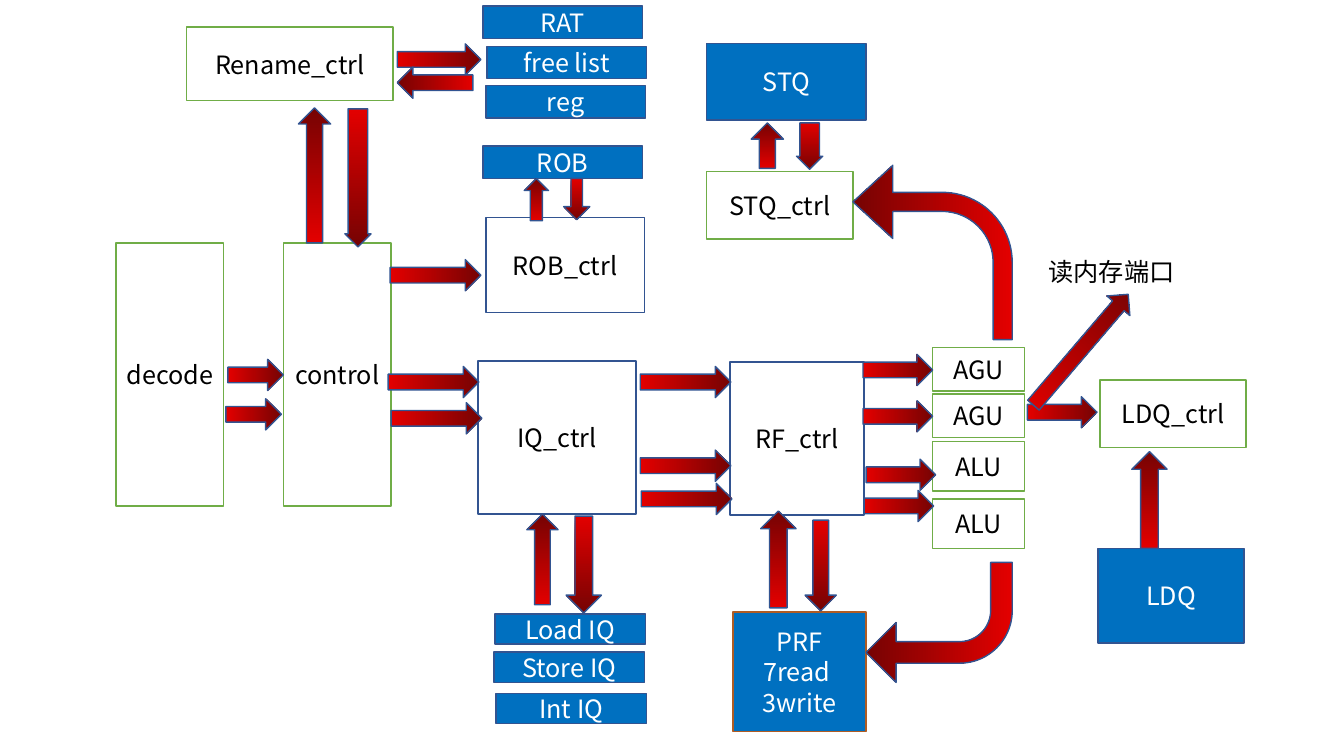
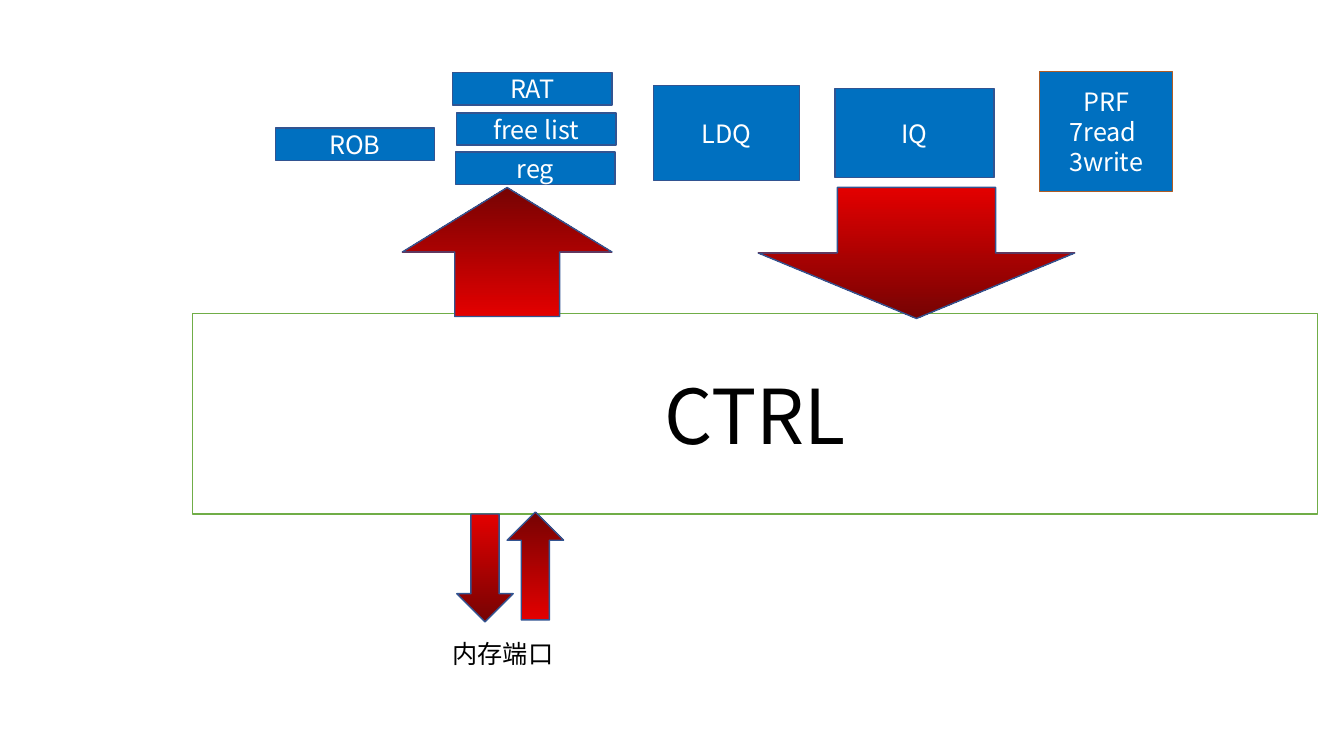
from math import atan2, degrees, hypot

from pptx import Presentation
from pptx.dml.color import RGBColor
from pptx.enum.shapes import MSO_SHAPE as Shape
from pptx.enum.text import MSO_ANCHOR as Anchor, MSO_AUTO_SIZE as AutoSize, PP_ALIGN as Align
from pptx.util import Inches, Pt

BLACK, WHITE = "000000", "FFFFFF"
BLUE, NAVY, GREEN, BROWN = "0070C0", "325491", "70AD47", "AF5C24"
ARROW_TAIL, ARROW_TIP = "E30000", "760303"

# Box styles: fill, line, text colour
STORAGE = (BLUE, NAVY, WHITE)
REGISTERS = (BLUE, BROWN, WHITE)
STAGE = (WHITE, GREEN, BLACK)
CONTROL = (None, NAVY, BLACK)


def color(value):
    return RGBColor.from_string(value)


class Diagram:
    """Holds the style and the current slide."""

    box_font, label_font, text_size = "Noto Sans CJK SC", "Arial", 18

    def __init__(self):
        self.deck = Presentation()
        self.deck.slide_width, self.deck.slide_height = Inches(13.33), Inches(7.5)
        self.page = None

    def new_page(self):
        self.page = self.deck.slides.add_slide(self.deck.slide_layouts[6])

    def shape(self, kind, left, top, width, height, line):
        shape = self.page.shapes.add_shape(
            kind, Inches(left), Inches(top), Inches(width), Inches(height))
        shape.shadow.inherit = False
        shape.line.color.rgb = color(line)
        shape.line.width = Pt(1)
        return shape

    def set_text(self, frame, text, font, size, text_color, align):
        frame.text = text
        for para in frame.paragraphs:
            para.alignment = align
            for span in para.runs:
                span.font.name = font
                span.font.size = Pt(size)
                span.font.color.rgb = color(text_color)

    def box(self, text, left, top, width, height, style, size=text_size):
        fill, line, text_color = style
        box = self.shape(Shape.RECTANGLE, left, top, width, height, line)
        if fill:
            box.fill.solid()
            box.fill.fore_color.rgb = color(fill)
        else:
            box.fill.background()
        box.text_frame.vertical_anchor = Anchor.MIDDLE
        self.set_text(box.text_frame, text, self.box_font, size, text_color, Align.CENTER)

    def label(self, text, left, top, width, height=0.4):
        box = self.page.shapes.add_textbox(
            Inches(left), Inches(top), Inches(width), Inches(height))
        box.text_frame.word_wrap = False
        box.text_frame.auto_size = AutoSize.SHAPE_TO_FIT_TEXT
        self.set_text(box.text_frame, text, self.label_font, self.text_size, BLACK, Align.LEFT)

    def shade(self, shape):
        shape.fill.gradient()
        shape.fill.gradient_angle = 0
        for stop, value in zip(shape.fill.gradient_stops, (ARROW_TAIL, ARROW_TIP)):
            stop.color.rgb = color(value)

    def arrow(self, x1, y1, x2, y2, thickness=0.31, shaft=0.5):
        """Block arrow from its tail to its tip."""
        length = hypot(x2 - x1, y2 - y1)
        left, top = (x1 + x2 - length) / 2, (y1 + y2 - thickness) / 2
        arrow = self.shape(Shape.RIGHT_ARROW, left, top, length, thickness, NAVY)
        arrow.adjustments[0] = shaft
        arrow.rotation = degrees(atan2(y2 - y1, x2 - x1)) % 360
        self.shade(arrow)

    def bent_arrow(self, left, top, width, height, shaft, head, flips):
        arrow = self.shape(Shape.BENT_ARROW, left, top, width, height, NAVY)
        for index, value in enumerate((shaft, head, 0.25, 0.44)):
            arrow.adjustments[index] = value
        for flip in flips:
            arrow._element.spPr.xfrm.set(flip, "1")
        self.shade(arrow)

    # Groups of boxes found on both pages
    def bar(self, text, left, top):
        self.box(text, left, top, 1.58, 0.32, STORAGE)

    def rename_tables(self, left, top):
        for text, dx, dy in (("RAT", 0, 0), ("free list", 0.04, 0.4), ("reg", 0.03, 0.79)):
            self.bar(text, left + dx, top + dy)

    def register_file(self, left, top):
        self.box("PRF\n7read \n3write", left, top, 1.32, 1.19, REGISTERS)

    def load_queue(self, left, top):
        self.box("LDQ", left, top, 1.45, 0.94, STORAGE)


def pipeline_page(diagram):
    diagram.new_page()

    # Pipeline stages and controllers
    for text, left, top, width, height, style in (
            ("decode", 1.15, 2.41, 1.07, 2.61, STAGE),
            ("control", 2.81, 2.41, 1.07, 2.61, STAGE),
            ("Rename_ctrl", 1.85, 0.27, 2.05, 0.73, STAGE),
            ("ROB_ctrl", 4.82, 2.16, 1.57, 0.94, CONTROL),
            ("IQ_ctrl", 4.74, 3.58, 1.57, 1.52, CONTROL),
            ("RF_ctrl", 7.24, 3.59, 1.33, 1.52, CONTROL),
            ("STQ_ctrl", 7.01, 1.7, 1.45, 0.67, STAGE),
            ("LDQ_ctrl", 10.91, 3.77, 1.45, 0.67, STAGE),
            ("STQ", 7.01, 0.43, 1.58, 0.76, STORAGE)):
        diagram.box(text, left, top, width, height, style)

    # Execution units
    for text, top, height in (("AGU", 3.45, 0.43), ("AGU", 3.91, 0.43),
                              ("ALU", 4.38, 0.49), ("ALU", 4.95, 0.49)):
        diagram.box(text, 9.25, top, 0.91, height, STAGE)

    # Storage
    diagram.rename_tables(4.79, 0.06)
    diagram.bar("ROB", 4.79, 1.45)
    diagram.register_file(7.27, 6.07)
    diagram.load_queue(10.89, 5.44)
    for text, left, top in (("Load IQ", 4.91, 6.09), ("Store IQ", 4.9, 6.47),
                            ("Int IQ", 4.92, 6.88)):
        diagram.box(text, left, top, 1.49, 0.3, STORAGE)

    # Horizontal arrows: tail, tip, height on the page
    for tail, tip, y in (
            (2.26, 2.81, 3.72), (2.24, 2.79, 4.11),
            (3.87, 4.77, 2.73), (3.85, 4.75, 3.79), (3.88, 4.78, 4.15),
            (6.35, 7.25, 3.79), (6.35, 7.25, 4.62), (6.36, 7.26, 4.95),
            (8.56, 9.25, 3.67), (8.56, 9.25, 4.13),
            (8.59, 9.28, 4.71), (8.57, 9.26, 5.02),
            (10.19, 10.88, 4.09), (3.94, 4.77, 0.59), (4.69, 3.94, 0.82)):
        diagram.arrow(tail, y, tip, y)

    # Vertical arrows: position, tail, tip, thickness, shaft share
    for x, tail, tip, thickness, shaft in (
            (3.12, 2.41, 1.07, 0.32, 0.5), (3.55, 1.08, 2.45, 0.26, 0.75),
            (5.32, 2.19, 1.77, 0.24, 0.5), (5.72, 1.77, 2.18, 0.26, 0.44),
            (5.38, 6, 5.1, 0.31, 0.5), (5.79, 5.12, 6.08, 0.35, 0.5),
            (7.72, 6.03, 5.07, 0.35, 0.5), (8.14, 5.16, 6.06, 0.31, 0.5),
            (7.61, 1.67, 1.22, 0.32, 0.5), (8.03, 1.22, 1.68, 0.26, 0.75),
            (11.4, 5.44, 4.48, 0.35, 0.5)):
        diagram.arrow(x, tail, x, tip, thickness, shaft)

    # Memory read port and results of the execution units
    diagram.arrow(10.25, 4.02, 11.19, 2.92, 0.3)
    diagram.label("读内存端口", 10.3, 2.49, 1.46)
    diagram.bent_arrow(8.46, 1.64, 1.58, 1.73, 0.12, 0.23, ["flipH"])
    diagram.bent_arrow(8.59, 5.58, 1.45, 1.19, 0.18, 0.25, ["flipH", "flipV"])


def overview_page(diagram):
    diagram.new_page()

    # Controller and storage
    diagram.box("CTRL", 1.91, 3.11, 11.16, 1.99, STAGE, size=54)
    diagram.bar("ROB", 2.73, 1.27)
    diagram.rename_tables(4.49, 0.72)
    diagram.load_queue(6.48, 0.85)
    diagram.box("IQ", 8.28, 0.88, 1.58, 0.88, STORAGE)
    diagram.register_file(10.31, 0.71)

    # Traffic with storage and with the memory port
    for x, tail, tip, thickness in ((5.03, 3.14, 1.86, 2.08), (9.09, 1.86, 3.16, 3.14),
                                    (4.81, 5.1, 6.17, 0.56), (5.31, 6.15, 5.08, 0.56)):
        diagram.arrow(x, tail, x, tip, thickness)
    diagram.label("内存端口", 4.39, 6.28, 1.21)


def main():
    diagram = Diagram()
    pipeline_page(diagram)
    overview_page(diagram)
    diagram.deck.save("out.pptx")


if __name__ == "__main__":
    main()
